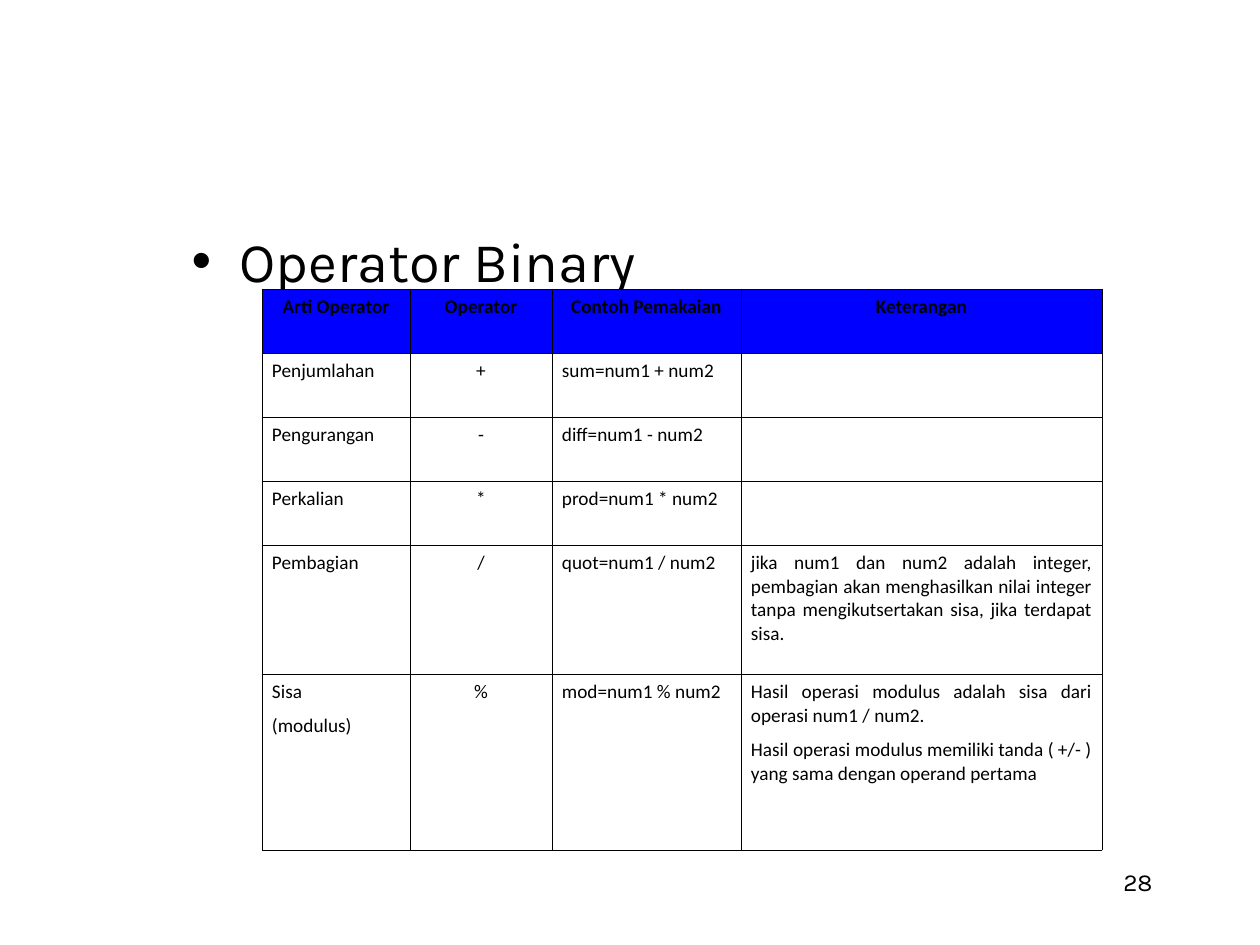
from lxml.etree import SubElement as Sub
from pptx import Presentation
from pptx.dml.color import RGBColor as Rgb
from pptx.enum.text import MSO_ANCHOR, MSO_AUTO_SIZE, PP_ALIGN as Align
from pptx.oxml.ns import qn
from pptx.util import Pt

PX = 914400 / 126
HEX = {"ink": "000000", "head": "0000FF"}
COLS = [148, 142, 189, 361]
ROWS = [64, 64, 64, 64, 129, 176]
HEAD = ["Arti Operator", "Operator", "Contoh Pemakaian", "Keterangan"]
DATA = [
    ["Penjumlahan", "+", "sum=num1 + num2", ""],
    ["Pengurangan", "-", "diff=num1 - num2", ""],
    ["Perkalian", "*", "prod=num1 * num2", ""],
    ["Pembagian", "/", "quot=num1 / num2",
     "jika num1 dan num2 adalah integer, pembagian akan menghasilkan "
     "nilai integer tanpa mengikutsertakan sisa, jika terdapat sisa."],
    ["Sisa\n(modulus)", "%", "mod=num1 % num2",
     "Hasil operasi modulus adalah sisa dari operasi num1 / num2.\n"
     "Hasil operasi modulus memiliki tanda ( +/- ) yang sama dengan "
     "operand pertama"],
]


def emu(px):
    return round(px * PX)


def style(para, face, size, bold=False):
    font = para.font
    font.name, font.size, font.bold = face, Pt(size), bold
    font.color.rgb = Rgb.from_string(HEX["ink"])


def topic(slide, box):
    body = slide.placeholders[1]
    body.left, body.top, body.width, body.height = map(emu, box)
    frame = body.text_frame
    frame.text = "Operator Binary"
    frame.auto_size = MSO_AUTO_SIZE.NONE
    frame.vertical_anchor = MSO_ANCHOR.TOP
    para = frame.paragraphs[0]
    para.space_before = Pt(0)
    props = para._p.get_or_add_pPr()
    props.set("marL", str(emu(48)))
    props.set("indent", str(emu(-48)))
    Sub(props, qn("a:buFont"), typeface="Arial")
    Sub(props, qn("a:buChar"), char="•")
    style(para, "Karla", 32)


def border(cell):
    props = cell._tc.get_or_add_tcPr()
    for side in ("lnL", "lnR", "lnT", "lnB"):
        line = Sub(props, qn("a:" + side), w=str(Pt(0.45)))
        fill = Sub(line, qn("a:solidFill"))
        Sub(fill, qn("a:srgbClr"), val=HEX["ink"])


def fill_cell(cell, text, head, align):
    border(cell)
    if head:
        cell.fill.solid()
        cell.fill.fore_color.rgb = Rgb.from_string(HEX["head"])
    else:
        cell.fill.background()
    cell.margin_left = cell.margin_right = emu(10)
    cell.margin_top = cell.margin_bottom = emu(6)
    cell.text = text
    for para in cell.text_frame.paragraphs:
        para.alignment = align
        para.space_after = Pt(6)
        style(para, "Calibri", 11, head)


def grid(slide, left, top):
    box = map(emu, (left, top, sum(COLS), sum(ROWS)))
    table = slide.shapes.add_table(len(ROWS), len(COLS), *box).table
    for col, width in zip(table.columns, COLS):
        col.width = emu(width)
    for row, high in zip(table.rows, ROWS):
        row.height = emu(high)
    for r, texts in enumerate([HEAD] + DATA):
        for c, text in enumerate(texts):
            mid = r == 0 or c == 1
            align = Align.CENTER if mid else Align.JUSTIFY
            fill_cell(table.cell(r, c), text, r == 0, align)


def number(slide, box):
    frame = slide.shapes.add_textbox(*map(emu, box)).text_frame
    frame.word_wrap = True
    frame.text = "28"
    para = frame.paragraphs[0]
    para.alignment = Align.RIGHT
    style(para, "Karla", 14)


def main():
    deck = Presentation()
    deck.slide_width, deck.slide_height = emu(1260), emu(945)
    slide = deck.slides.add_slide(deck.slide_layouts[1])
    title = slide.shapes.title._element
    title.getparent().remove(title)
    topic(slide, (179, 220, 987, 620))
    number(slide, (903, 861, 262, 63))
    grid(slide, 262, 289)
    deck.save("out.pptx")


if __name__ == "__main__":
    main()
